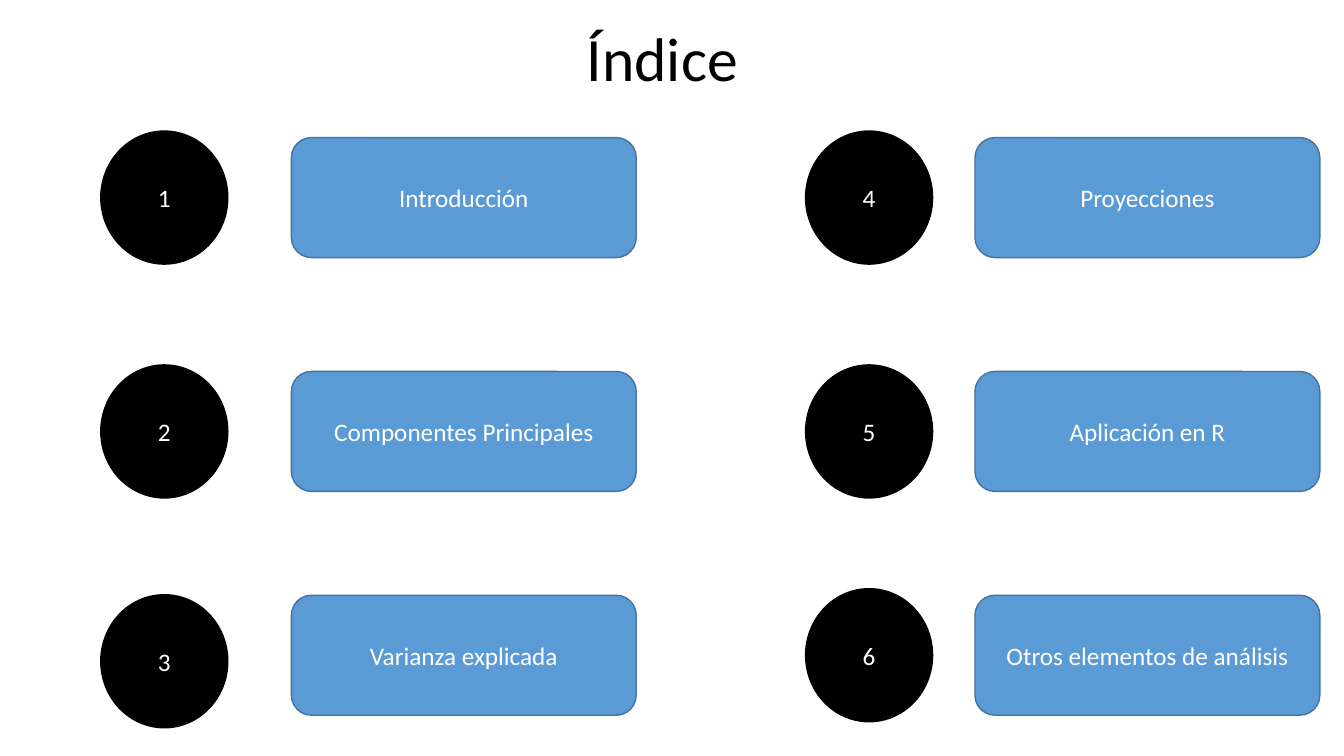
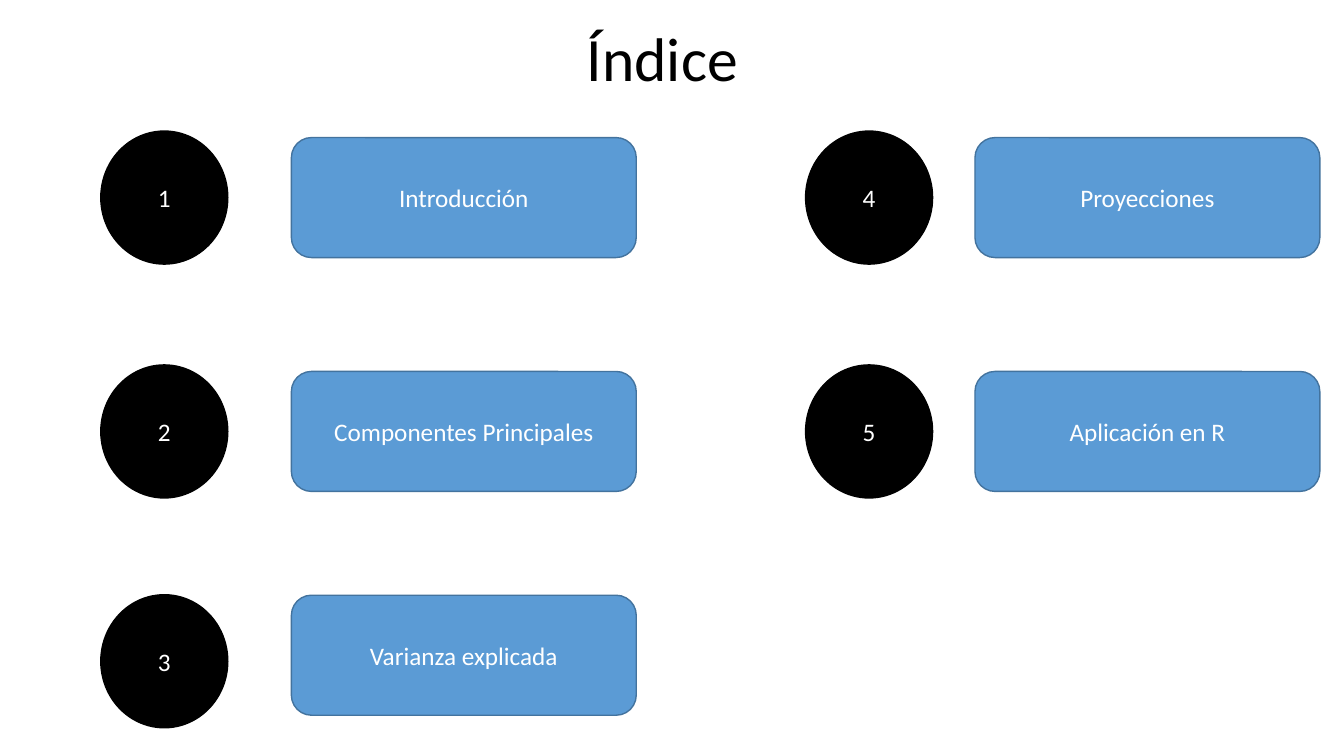
from pptx import Presentation
from pptx import util as u
from pptx.dml.color import RGBColor
from pptx.enum import shapes, text

# Shared style
BLACK, WHITE, BLUE, DARK_BLUE = "000000", "FFFFFF", "5B9BD5", "43739E"
TITLE_FORMAT = {"name": "Calibri", "size": u.Pt(44), "bold": False}
ITEM_FORMAT = {"name": "Calibri", "size": u.Pt(18), "bold": False}

# Index grid: a column is a numbered circle and its label
CIRCLE_SIZE = (1.26, 1.32)
LABEL_SIZE = (3.42, 1.19)
COLUMNS = [(1, 2.89), (7.99, 9.67)]  # left of circle, left of label
ROW_CENTERS = [1.96, 4.28, 6.5]
CIRCLE_DROPS = {3: 0.06}  # circles set lower than their label

TOPICS = [
    "Introducción",
    "Componentes Principales",
    "Varianza explicada",
    "Proyecciones",
    "Aplicación en R",
    "Otros elementos de análisis",
]


def color(hex_value):
    return RGBColor.from_string(hex_value)


def write(shape, words, font_format, font_color):
    """Put one centred line of text in a shape."""
    frame = shape.text_frame
    frame.word_wrap = True
    frame.vertical_anchor = text.MSO_ANCHOR.MIDDLE
    paragraph = frame.paragraphs[0]
    paragraph.text = words
    paragraph.alignment = text.PP_ALIGN.CENTER
    for name, value in font_format.items():
        setattr(paragraph.font, name, value)
    paragraph.font.color.rgb = color(font_color)
    return paragraph


def add_title(slide, words, left, top, width, height):
    title = slide.shapes.title
    box = {"left": left, "top": top, "width": width, "height": height}
    for name, value in box.items():
        setattr(title, name, u.Inches(value))
    write(title, words, TITLE_FORMAT, BLACK).line_spacing = 0.9


def add_item_shape(slide, kind, left, center, size, words, fill, line):
    """Add a filled shape, centred vertically on the given height."""
    width, height = size
    shape = slide.shapes.add_shape(
        kind, u.Inches(left), u.Inches(center - height / 2),
        u.Inches(width), u.Inches(height))
    shape.shadow.inherit = False
    shape.fill.solid()
    shape.fill.fore_color.rgb = color(fill)
    shape.line.color.rgb = color(line)
    shape.line.width = u.Pt(1)
    write(shape, words, ITEM_FORMAT, WHITE)


def add_topic(slide, number, topic):
    """Place a circle and label, filling the grid column by column."""
    column, row = divmod(number - 1, len(ROW_CENTERS))
    circle_left, label_left = COLUMNS[column]
    center = ROW_CENTERS[row]
    add_item_shape(slide, shapes.MSO_SHAPE.OVAL, circle_left,
                   center + CIRCLE_DROPS.get(number, 0), CIRCLE_SIZE,
                   str(number), BLACK, BLACK)
    add_item_shape(slide, shapes.MSO_SHAPE.ROUNDED_RECTANGLE, label_left,
                   center, LABEL_SIZE, topic, BLUE, DARK_BLUE)


def add_index_slide(presentation, topics):
    title_only = presentation.slide_layouts[5]
    slide = presentation.slides.add_slide(title_only)
    add_title(slide, "Índice", 0.93, 0.13, 11.28, 0.97)
    for number, topic in enumerate(topics, start=1):
        add_topic(slide, number, topic)


def main():
    presentation = Presentation()
    presentation.slide_width = u.Inches(13.33)
    presentation.slide_height = u.Inches(7.5)
    # Full index, then the index without its last topic
    for topics in (TOPICS, TOPICS[:-1]):
        add_index_slide(presentation, topics)
    presentation.save("out.pptx")


if __name__ == "__main__":
    main()
